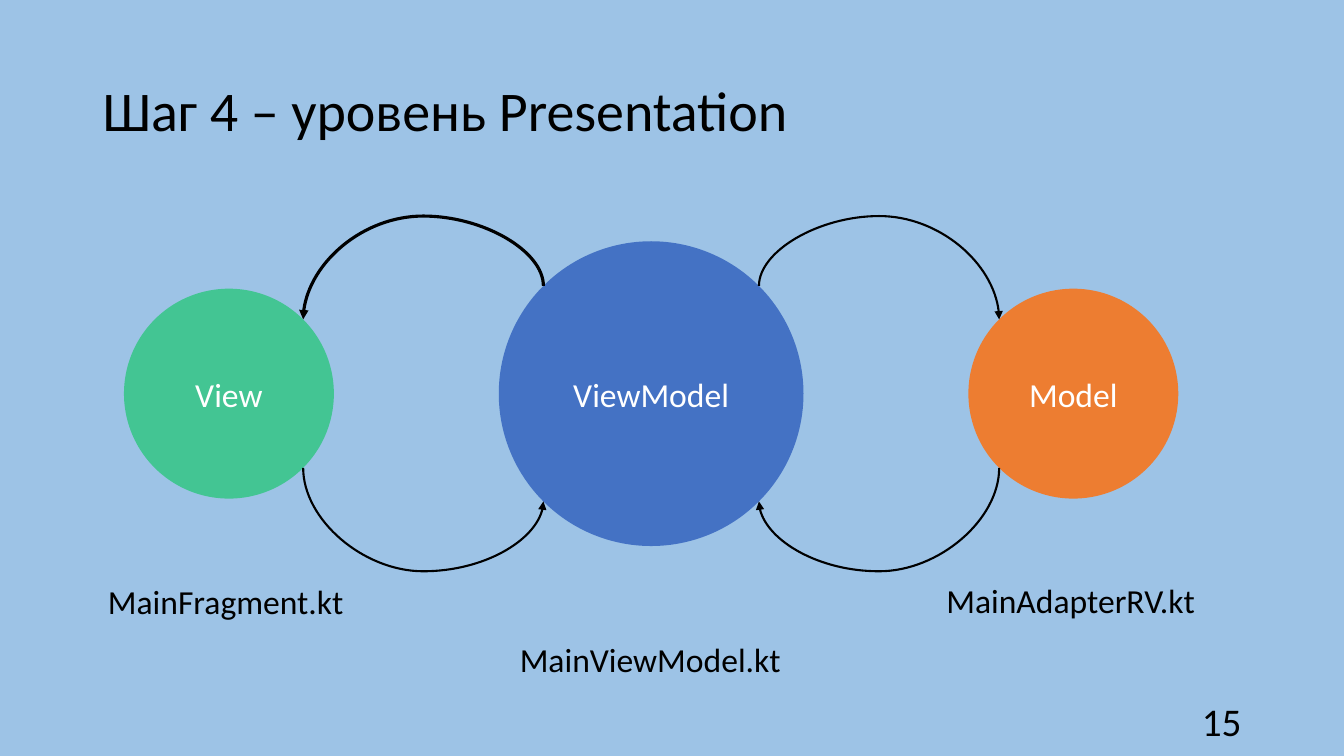
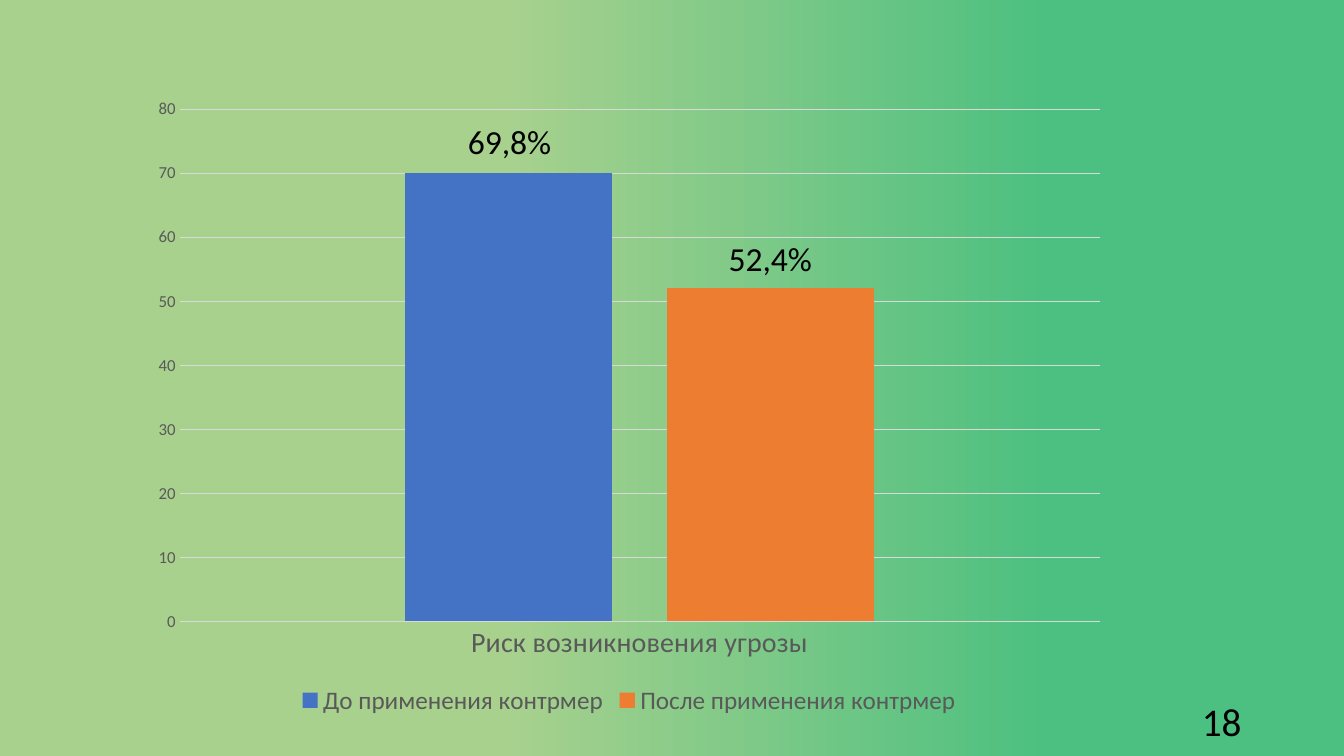
from math import sqrt

from lxml import etree
from pptx import Presentation
from pptx.chart import data as chart_data
from pptx.dml.color import RGBColor
from pptx.enum import chart as chart_enum, shapes, text
from pptx.oxml import ns
from pptx.util import Cm, Pt

FONT = "Calibri"
COLORS = {
    "sky": "9DC3E6",
    "lime": "A9D18E",
    "emerald": "4CC080",
    "mint": "43C593",
    "blue": "4472C4",
    "orange": "ED7D31",
    "black": "000000",
    "white": "FFFFFF",
    "axis_text": "595959",
    "grid": "D9D9D9",
}
CORNERS = {
    "top_left": (1, -1, -1),
    "bottom_left": (3, -1, 1),
    "bottom_right": (5, 1, 1),
    "top_right": (7, 1, -1),
}
MIDDLE_X, MIDDLE_Y, CIRCLE_STEP = 16.41, 9.92, 10.64
ARC_BULGE = 308400


def color(name):
    """Return the palette colour with this name."""
    return RGBColor.from_string(COLORS[name])


def style_font(font, size, color_name):
    """Set typeface, size and colour of a font."""
    font.name = FONT
    font.size = Pt(size)
    font.color.rgb = color(color_name)


def write(shape, words, size, color_name="black", align=text.PP_ALIGN.LEFT,
          anchor=text.MSO_ANCHOR.MIDDLE):
    """Put one styled run in a shape and return its paragraph."""
    frame = shape.text_frame
    frame.word_wrap = True
    frame.vertical_anchor = anchor
    paragraph = frame.paragraphs[0]
    paragraph.alignment = align
    run = paragraph.add_run()
    run.text = words
    style_font(run.font, size, color_name)
    return paragraph


def add_title(slide, words):
    """Fill and place the title placeholder."""
    title = slide.shapes.title
    title.left, title.top, title.width, title.height = Cm(2.33), Cm(1.02), Cm(29.21), Cm(3.68)
    write(title, words, 40).line_spacing = 0.9
    title.text_frame.auto_size = text.MSO_AUTO_SIZE.NONE


def add_page_number(slide, number):
    """Add the number at the bottom right."""
    box = slide.shapes.add_textbox(Cm(23.92), Cm(17.65), Cm(7.62), Cm(1.02))
    write(box, str(number), 28, align=text.PP_ALIGN.RIGHT)


def add_caption(slide, words, left, top, width):
    """Add a caption that grows with its text."""
    box = slide.shapes.add_textbox(Cm(left), Cm(top), Cm(width), Cm(1.28))
    write(box, words, 24, anchor=text.MSO_ANCHOR.TOP)
    box.text_frame.auto_size = text.MSO_AUTO_SIZE.SHAPE_TO_FIT_TEXT


def add_circle(slide, words, center_x, diameter, fill):
    """Add a labelled circle on the horizontal middle line."""
    radius = diameter / 2
    circle = slide.shapes.add_shape(
        shapes.MSO_SHAPE.OVAL, Cm(center_x - radius), Cm(MIDDLE_Y - radius),
        Cm(diameter), Cm(diameter))
    circle.shadow.inherit = False
    circle.fill.solid()
    circle.fill.fore_color.rgb = color(fill)
    circle.line.fill.background()
    write(circle, words, 24, "white", text.PP_ALIGN.CENTER)
    return circle


def corner_point(circle, corner):
    """Return the diagonal point of a circle."""
    _, sign_x, sign_y = CORNERS[corner]
    offset = circle.width / 2 / sqrt(2)
    return (circle.left + circle.width / 2 + sign_x * offset,
            circle.top + circle.height / 2 + sign_y * offset)


def add_arc(slide, begin, begin_corner, end, end_corner, arrow, weight):
    """Join two circles by a curve that leaves vertically."""
    x1, y1 = corner_point(begin, begin_corner)
    x2, y2 = corner_point(end, end_corner)
    width, height = abs(y2 - y1), abs(x2 - x1)
    left, top = (x1 + x2 - width) / 2, (y1 + y2 - height) / 2
    quarter_turn = (y2 < y1) == (x2 > x1)
    flip_x, flip_y = (y2 < y1) == quarter_turn, (x2 > x1) == quarter_turn
    xs, ys = (left, left + width), (top, top + height)
    arc = slide.shapes.add_connector(
        shapes.MSO_CONNECTOR.CURVE, int(xs[flip_x]), int(ys[flip_y]),
        int(xs[not flip_x]), int(ys[not flip_y]))
    arc.line.color.rgb = color("black")
    arc.line.width = Pt(weight)

    properties = arc._element.spPr
    properties.find(ns.qn("a:xfrm")).set("rot", "5400000" if quarter_turn else "16200000")
    geometry = properties.find(ns.qn("a:prstGeom"))
    adjustments = geometry.find(ns.qn("a:avLst"))
    if adjustments is None:
        adjustments = etree.SubElement(geometry, ns.qn("a:avLst"))
    etree.SubElement(adjustments, ns.qn("a:gd"), name="adj1", fmla=f"val {ARC_BULGE}")
    etree.SubElement(properties.find(ns.qn("a:ln")), ns.qn(f"a:{arrow}"), type="triangle")
    etree.SubElement(properties, ns.qn("a:effectLst"))

    joints = arc._element.find(".//" + ns.qn("p:cNvCxnSpPr"))
    for tag, circle, corner in (("a:stCxn", begin, begin_corner), ("a:endCxn", end, end_corner)):
        etree.SubElement(joints, ns.qn(tag), id=str(circle.shape_id), idx=str(CORNERS[corner][0]))


def add_risk_chart(slide):
    """Add the column chart of risk before and after."""
    values = chart_data.CategoryChartData()
    values.categories = ["Риск возникновения угрозы"]
    values.add_series("До применения контрмер", [70])
    values.add_series("После применения контрмер", [52])
    chart = slide.shapes.add_chart(
        chart_enum.XL_CHART_TYPE.COLUMN_CLUSTERED,
        Cm(3.5), Cm(2.18), Cm(24.71), Cm(15.98), values).chart
    chart.has_title = False
    style_font(chart.font, 10, "black")
    chart.has_legend = True
    chart.legend.position = chart_enum.XL_LEGEND_POSITION.BOTTOM
    chart.legend.include_in_layout = False
    style_font(chart.legend.font, 18, "axis_text")

    plot = chart.plots[0]
    plot.gap_width, plot.overlap, plot.vary_by_categories = 219, -27, False
    for series, fill in zip(plot.series, ("blue", "orange")):
        series.format.fill.solid()
        series.format.fill.fore_color.rgb = color(fill)

    for axis, size in ((chart.category_axis, 20), (chart.value_axis, 12)):
        axis.major_tick_mark = axis.minor_tick_mark = chart_enum.XL_TICK_MARK.NONE
        style_font(axis.tick_labels.font, size, "axis_text")
    value_axis = chart.value_axis
    value_axis.minimum_scale, value_axis.maximum_scale, value_axis.major_unit = 0, 80, 10
    value_axis.format.line.fill.background()
    for line in (chart.category_axis.format.line, value_axis.major_gridlines.format.line):
        line.color.rgb = color("grid")
        line.width = Pt(0.75)


def build_layers_slide(presentation):
    """Build the slide about the presentation level."""
    slide = presentation.slides.add_slide(presentation.slide_layouts[5])
    slide.background.fill.solid()
    slide.background.fill.fore_color.rgb = color("sky")
    add_title(slide, "Шаг 4 – уровень Presentation")
    add_page_number(slide, 15)
    view = add_circle(slide, "View", MIDDLE_X - CIRCLE_STEP, 5.29, "mint")
    view_model = add_circle(slide, "ViewModel", MIDDLE_X, 7.68, "blue")
    model = add_circle(slide, "Model", MIDDLE_X + CIRCLE_STEP, 5.29, "orange")
    for circle, near, far, upper_weight in ((view, "right", "left", 2.25),
                                            (model, "left", "right", 1.5)):
        for level, arrow, weight in (("top", "headEnd", upper_weight), ("bottom", "tailEnd", 1.5)):
            add_arc(slide, circle, f"{level}_{near}", view_model, f"{level}_{far}", arrow, weight)
    add_caption(slide, "MainFragment.kt", 2.47, 14.52, 6.58)
    add_caption(slide, "MainViewModel.kt", 12.85, 15.98, 7.14)
    add_caption(slide, "MainAdapterRV.kt", 23.6, 14.5, 6.93)


def build_risk_slide(presentation):
    """Build the slide with the risk chart."""
    slide = presentation.slides.add_slide(presentation.slide_layouts[6])
    fill = slide.background.fill
    fill.gradient()
    fill.gradient_angle = 0
    for stop, position, name in zip(fill.gradient_stops, (0.37, 0.78), ("lime", "emerald")):
        stop.position = position
        stop.color.rgb = color(name)
    add_page_number(slide, 18)
    add_risk_chart(slide)
    add_caption(slide, "69,8%", 11.54, 2.92, 2.84)
    add_caption(slide, "52,4%", 18.11, 5.88, 2.84)


def main():
    """Build and save the presentation."""
    presentation = Presentation()
    presentation.slide_width, presentation.slide_height = Cm(33.87), Cm(19.05)
    build_layers_slide(presentation)
    build_risk_slide(presentation)
    presentation.save("out.pptx")


if __name__ == "__main__":
    main()
